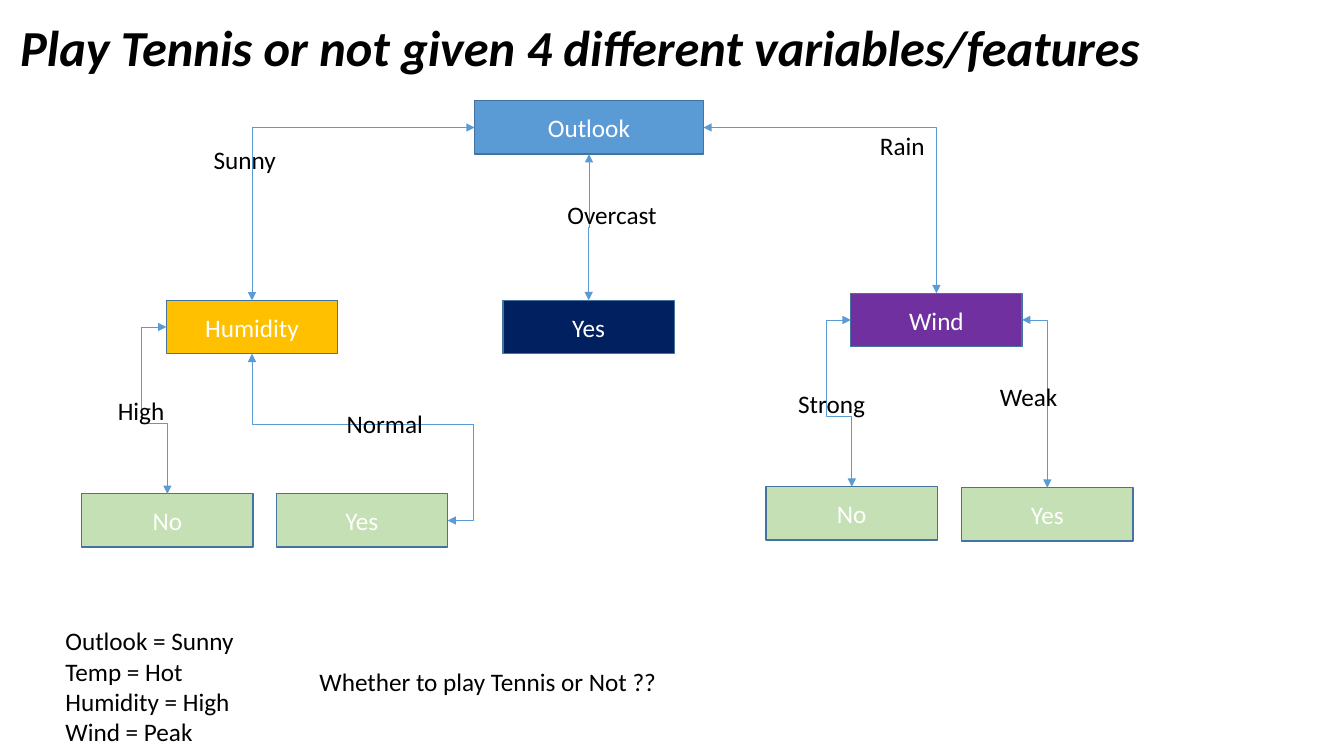
"""Build a decision tree slide about playing tennis."""
from dataclasses import dataclass
from lxml import etree
from pptx import Presentation
from pptx.dml.color import RGBColor
from pptx.enum.shapes import MSO_CONNECTOR, MSO_SHAPE
from pptx.enum.text import MSO_ANCHOR, MSO_AUTO_SIZE, PP_ALIGN
from pptx.oxml.ns import qn
from pptx.slide import Slide
from pptx.util import Inches, Pt

ELBOW, RECTANGLE = MSO_CONNECTOR.ELBOW, MSO_SHAPE.RECTANGLE
MIDDLE, GROW, NO_FIT = MSO_ANCHOR.MIDDLE, MSO_AUTO_SIZE.SHAPE_TO_FIT_TEXT, MSO_AUTO_SIZE.NONE
LEFT, CENTER = PP_ALIGN.LEFT, PP_ALIGN.CENTER
TOP_SIDE, LEFT_SIDE, BOTTOM_SIDE, RIGHT_SIDE = range(4)

WHITE = RGBColor(0xFF, 0xFF, 0xFF)
BLACK = RGBColor(0x00, 0x00, 0x00)
BLUE = RGBColor(0x5B, 0x9B, 0xD5)
OUTLINE = RGBColor(0x43, 0x73, 0x9E)
AMBER = RGBColor(0xFF, 0xC0, 0x00)
NAVY = RGBColor(0x00, 0x20, 0x60)
PURPLE = RGBColor(0x70, 0x30, 0xA0)
GREEN = RGBColor(0xC5, 0xE0, 0xB4)

COLUMNS = 160
SLIDE_WIDTH, SLIDE_HEIGHT = Inches(13.33), Inches(7.5)
CELL = Inches(13.33) / COLUMNS
NODE_WIDTH, NODE_HEIGHT, LINE_HEIGHT = 20.4, 6.36, 4.8


@dataclass
class TreeSlide:
    """Hold the text style and the current slide, measured in grid cells."""
    slide: Slide
    font: str = "Calibri"
    size: int = 18

    def cells(self, *lengths):
        """Turn grid cells into slide lengths."""
        return [round(length * CELL) for length in lengths]

    def set_text(self, shape, lines, color, alignment, size=None):
        """Fill a shape with styled paragraphs."""
        shape.text_frame.text = "\n".join(lines)
        for paragraph in shape.text_frame.paragraphs:
            paragraph.alignment = alignment
            paragraph.font.name = self.font
            paragraph.font.size = Pt(size or self.size)
            paragraph.font.color.rgb = color

    def title(self, text, left, top, width, height):
        """Place and format the title placeholder."""
        title = self.slide.shapes.title
        title.left, title.top, title.width, title.height = self.cells(left, top, width, height)
        self.set_text(title, [text], BLACK, LEFT, 36)
        title.text_frame.vertical_anchor = MIDDLE
        title.text_frame.auto_size = NO_FIT
        paragraph = title.text_frame.paragraphs[0]
        paragraph.line_spacing = 0.9
        paragraph.font.bold = paragraph.font.italic = True

    def node(self, text, left, top, fill, width=NODE_WIDTH):
        """Draw one box of the tree."""
        box = self.slide.shapes.add_shape(
            RECTANGLE, *self.cells(left, top, width, NODE_HEIGHT))
        box.shadow.inherit = False
        box.fill.solid()
        box.fill.fore_color.rgb = fill
        box.line.color.rgb = OUTLINE
        box.line.width = Pt(1)
        self.set_text(box, [text], WHITE, CENTER)
        box.text_frame.vertical_anchor = MIDDLE
        return box

    def label(self, left, top, width, *lines, height=LINE_HEIGHT):
        """Add free text."""
        box = self.slide.shapes.add_textbox(*self.cells(left, top, width, height))
        self.set_text(box, lines, BLACK, LEFT)
        box.text_frame.word_wrap = False
        box.text_frame.auto_size = GROW

    def branch(self, start, start_side, end, end_side, bends, rotation=0, flips="", offsets=()):
        """Join two boxes with a double-headed elbow; offsets place its bends."""
        connector = self.slide.shapes.add_connector(ELBOW, 0, 0, 0, 0)
        connector.begin_connect(start, start_side)
        connector.end_connect(end, end_side)
        if rotation % 180:
            center_x = connector.left + connector.width / 2
            center_y = connector.top + connector.height / 2
            connector.width, connector.height = connector.height, connector.width
            connector.left = round(center_x - connector.width / 2)
            connector.top = round(center_y - connector.height / 2)
        properties = connector.element.spPr
        transform = properties.find(qn("a:xfrm"))
        transform.set("rot", str(rotation * 60000))
        for axis in "HV":
            transform.set("flip" + axis, str(int(axis in flips)))
        geometry = properties.find(qn("a:prstGeom"))
        geometry.set("prst", f"bentConnector{bends + 1}")
        spans = connector.width, connector.height
        for number, (offset, span) in enumerate(zip(self.cells(*offsets), spans), 1):
            etree.SubElement(geometry.find(qn("a:avLst")), qn("a:gd"), name=f"adj{number}",
                             fmla=f"val {round(offset / span * 100000)}")
        connector.line.color.rgb = BLUE
        connector.line.width = Pt(0.5)
        line = properties.find(qn("a:ln"))
        for tip in ("a:headEnd", "a:tailEnd"):
            etree.SubElement(line, qn(tip), type="triangle")
        etree.SubElement(properties, qn("a:effectLst"))


presentation = Presentation()
presentation.slide_width, presentation.slide_height = SLIDE_WIDTH, SLIDE_HEIGHT
tree = TreeSlide(presentation.slides.add_slide(presentation.slide_layouts[5]))
tree.title("Play Tennis or not given 4 different variables/features", 1.2, 1.32, 138, 9.24)

outlook = tree.node("Outlook", 56.5, 12, BLUE, width=27.24)
humidity = tree.node("Humidity", 19.8, 35.76, AMBER)
overcast_yes = tree.node("Yes", 59.88, 35.76, NAVY)
wind = tree.node("Wind", 101.28, 34.92, PURPLE)
high_no = tree.node("No", 9.72, 58.8, GREEN)
normal_yes = tree.node("Yes", 32.88, 58.8, GREEN)
strong_no = tree.node("No", 91.2, 57.96, GREEN)
weak_yes = tree.node("Yes", 114.48, 58.08, GREEN)

tree.branch(outlook, RIGHT_SIDE, wind, TOP_SIDE, 1)
tree.branch(outlook, LEFT_SIDE, humidity, TOP_SIDE, 1, 180, "V")
tree.branch(outlook, BOTTOM_SIDE, overcast_yes, TOP_SIDE, 2, 90)
tree.branch(wind, RIGHT_SIDE, weak_yes, TOP_SIDE, 1)
tree.branch(humidity, BOTTOM_SIDE, normal_yes, RIGHT_SIDE, 3, 270, "H", (8.4, 26.3))
for parent, leaf in ((humidity, high_no), (wind, strong_no)):
    tree.branch(parent, LEFT_SIDE, leaf, TOP_SIDE, 3, 180, "HV", (-3, 11.5))

for text, left, top, width in (
    ("Strong", 93.84, 45.6, 10.44),
    ("Weak", 117.84, 44.76, 9.36),
    ("Rain", 103.56, 14.88, 7.8),
    ("Overcast", 66.36, 23.16, 13.2),
    ("Sunny", 24.24, 16.56, 9.96),
    ("High", 12.84, 46.44, 8.04),
    ("Normal", 40.08, 48, 11.64),
    ("Whether to play Tennis or Not ??", 36.84, 78.72, 42.96),
):
    tree.label(left, top, width, text)
tree.label(6.6, 73.92, 22.68, "Outlook = Sunny", "Temp = Hot", "Humidity = High",
           "Wind = Peak", height=15.72)

presentation.save("out.pptx")
